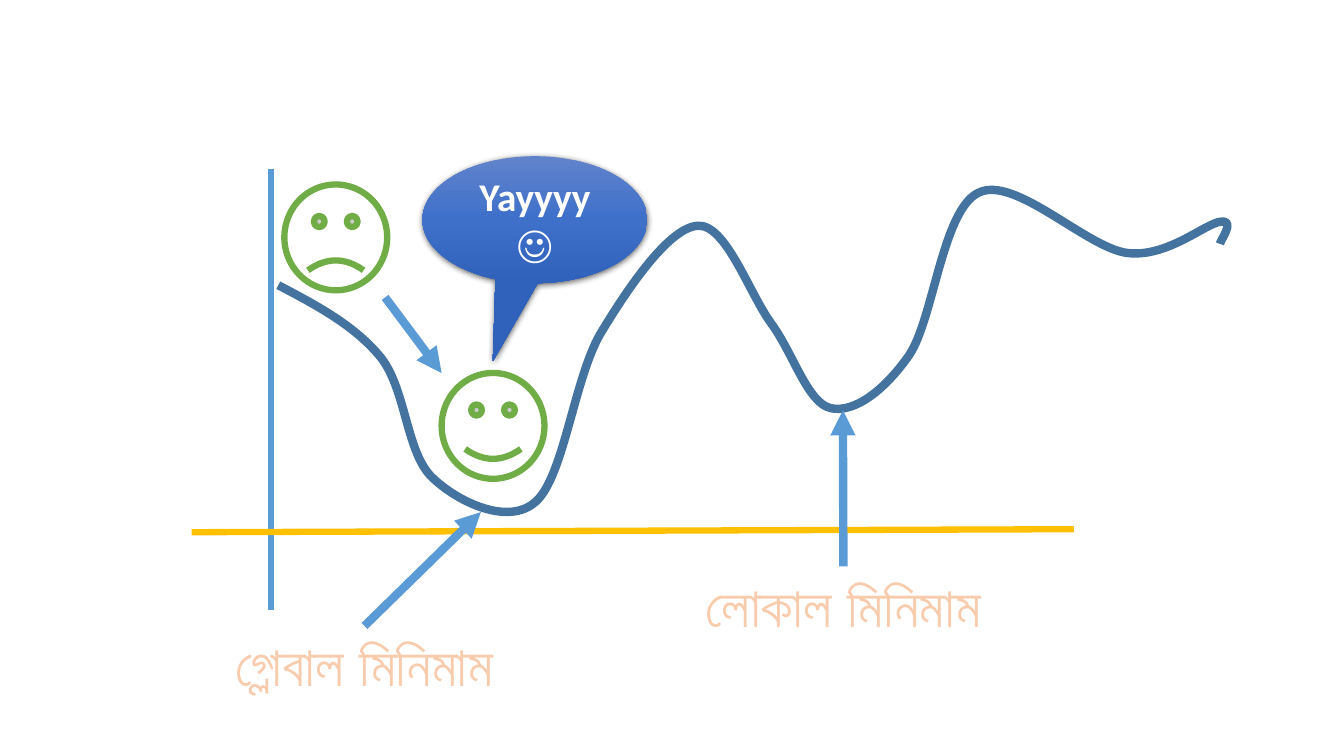
from pptx import Presentation
from pptx.dml.color import RGBColor
from pptx.enum.shapes import MSO_CONNECTOR, MSO_SHAPE
from pptx.enum.text import MSO_ANCHOR, MSO_AUTO_SIZE, PP_ALIGN
from pptx.oxml import parse_xml
from pptx.oxml.ns import nsdecls
from pptx.util import Inches, Pt

AXES = [((2.69, 1.68), (2.69, 6.05), "5B9BD5"), ((1.9, 5.28), (10.65, 5.25), "FFC000")]
CURVE_START = (2.76, 2.83)
CURVE = [
    ((3.14, 3.03), (3.52, 3.23), (3.78, 3.55)),
    ((4.03, 3.87), (4.03, 4.5), (4.29, 4.74)),
    ((4.54, 4.98), (5.04, 5.22), (5.31, 4.98)),
    ((5.59, 4.74), (5.69, 3.78), (5.95, 3.32)),
    ((6.22, 2.87), (6.63, 2.26), (6.92, 2.24)),
    ((7.2, 2.22), (7.43, 2.91), (7.65, 3.21)),
    ((7.87, 3.51), (8.01, 4), (8.24, 4.05)),
    ((8.47, 4.1), (8.77, 3.88), (9.02, 3.52)),
    ((9.26, 3.16), (9.35, 2.07), (9.71, 1.91)),
    ((10.07, 1.74), (10.78, 2.46), (11.18, 2.51)),
    ((11.58, 2.56), (11.96, 2.21), (12.11, 2.2)),
    ((12.26, 2.18), (12.1, 2.39), (12.1, 2.42)),
]
CALLOUT = ("Yayyyy ☺", (4.19, 1.55, 2.23, 1.26), (-0.187, 1.116))
GRADIENT = [(0, "6183CB"), (50, "3E70CA"), (100, "3062BB")]
MINIMA = [
    ("লোকাল মিনিমাম", (5.82, 5.62), (8.36, 4.07)),
    ("গ্লোবাল মিনিমাম", (1.07, 6.21), (4.77, 5.08)),
]
LABEL_SIZE = (5.09, 0.77)
FACES = [((2.82, 1.83), -0.047), ((4.38, 3.7), 0.047)]
FACE_SIZE = (1.02, 1.05)
ROLL = ((3.82, 2.95), (4.38, 3.7))
ARROW = "5B9BD5"


def rgb(value):
    return RGBColor.from_string(value)


def inches(values):
    return [Inches(v) for v in values]


def xml(tag, body="", attrs=""):
    return parse_xml(f"<a:{tag} {nsdecls('a')} {attrs}>{body}</a:{tag}>")


def solid(value):
    return f'<a:solidFill><a:srgbClr val="{value}"/></a:solidFill>'


def set_line(sp, color, width):
    sp.line.color.rgb = rgb(color)
    sp.line.width = Pt(width)


def add_line(start, end, color, width, arrow=False):
    s = shapes.add_connector(MSO_CONNECTOR.STRAIGHT, *inches(start + end))
    set_line(s, color, width)
    s._element.spPr.append(xml("effectLst"))
    if arrow:
        s.line._get_or_add_ln().append(xml("tailEnd", attrs='type="triangle"'))
    return s


def add_text(sp, text, size, color):
    tf = sp.text_frame
    tf.word_wrap = True
    p = tf.paragraphs[0]
    p.alignment = PP_ALIGN.CENTER
    r = p.add_run()
    r.text = text
    for name, value in dict(name="Calibri", size=Pt(size), bold=True).items():
        setattr(r.font, name, value)
    r.font.color.rgb = rgb(color)
    return tf, r


def add_curve():
    builder = shapes.build_freeform(*inches(CURVE_START), scale=1.0)
    builder.add_line_segments([inches(end) for _, _, end in CURVE], close=False)
    sp = builder.convert_to_shape()
    sp.shadow.inherit = False
    sp.fill.background()
    set_line(sp, "43739E", 6)
    for segment, points in zip(sp._element.xpath(".//a:lnTo"), CURVE):
        body = "".join(
            f'<a:pt x="{Inches(x) - sp.left}" y="{Inches(y) - sp.top}"/>' for x, y in points
        )
        segment.getparent().replace(segment, xml("cubicBezTo", body))


def add_callout(text, box, tip):
    sp = shapes.add_shape(MSO_SHAPE.OVAL_CALLOUT, *inches(box))
    sp.adjustments[0], sp.adjustments[1] = tip
    sp.line.fill.background()
    stops = "".join(
        f'<a:gs pos="{pos * 1000}"><a:srgbClr val="{c}"/></a:gs>' for pos, c in GRADIENT
    )
    grad = xml("gradFill", f'<a:gsLst>{stops}</a:gsLst><a:lin ang="5400000" scaled="0"/>')
    spPr = sp._element.spPr
    spPr.insert(2, grad)
    spPr.append(xml("effectLst", '<a:outerShdw blurRad="57150" dist="19050" dir="5400000" '
                    'algn="ctr" rotWithShape="0"><a:srgbClr val="000000">'
                    '<a:alpha val="63000"/></a:srgbClr></a:outerShdw>'))
    tf, _ = add_text(sp, text, 28, "FFFFFF")
    tf.vertical_anchor = MSO_ANCHOR.MIDDLE


def add_minimum(text, at, target):
    label = shapes.add_textbox(*inches(at + LABEL_SIZE))
    tf, r = add_text(label, text, 40, "F8CBAD")
    tf.auto_size = MSO_AUTO_SIZE.SHAPE_TO_FIT_TEXT
    r._r.get_or_add_rPr().insert(0, xml("ln", solid("ED7D31"), f'w="{Pt(1.75)}"'))
    start = (at[0] + LABEL_SIZE[0] / 2, at[1])
    add_line(start, target, ARROW, 6, arrow=True).begin_connect(label, 0)


def add_face(at, smile):
    sp = shapes.add_shape(MSO_SHAPE.SMILEY_FACE, *inches(at + FACE_SIZE))
    sp.shadow.inherit = False
    sp.adjustments[0] = smile
    sp.fill.solid()
    sp.fill.fore_color.rgb = rgb("FFFFFF")
    set_line(sp, "70AD47", 4.5)


prs = Presentation()
prs.slide_width, prs.slide_height = inches((13.33, 7.5))
shapes = prs.slides.add_slide(prs.slide_layouts[6]).shapes

for start, end, color in AXES:
    add_line(start, end, color, 4.5)
add_curve()
add_callout(*CALLOUT)
for minimum in MINIMA:
    add_minimum(*minimum)
for face in FACES:
    add_face(*face)
add_line(*ROLL, ARROW, 6, arrow=True)

prs.save("out.pptx")
